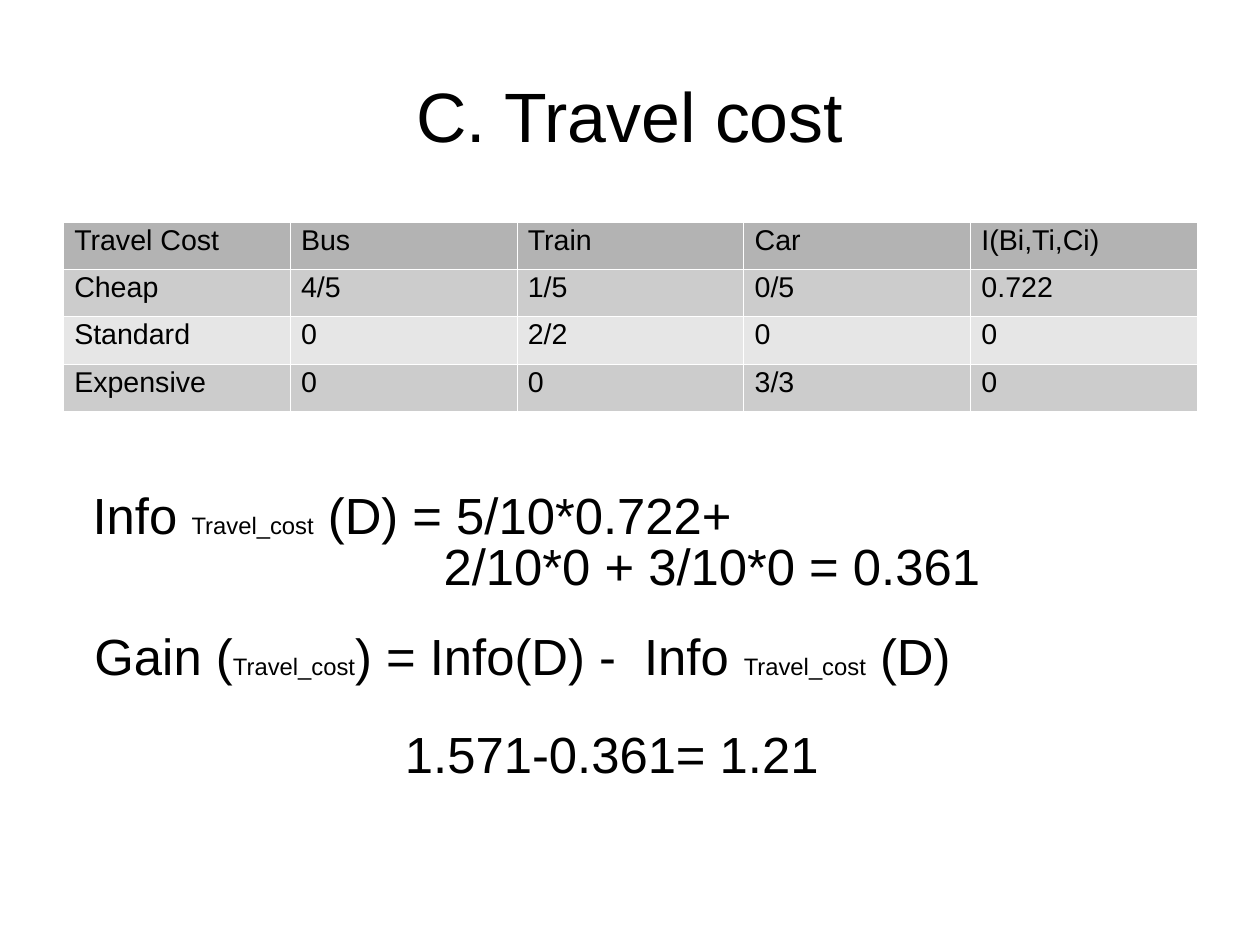
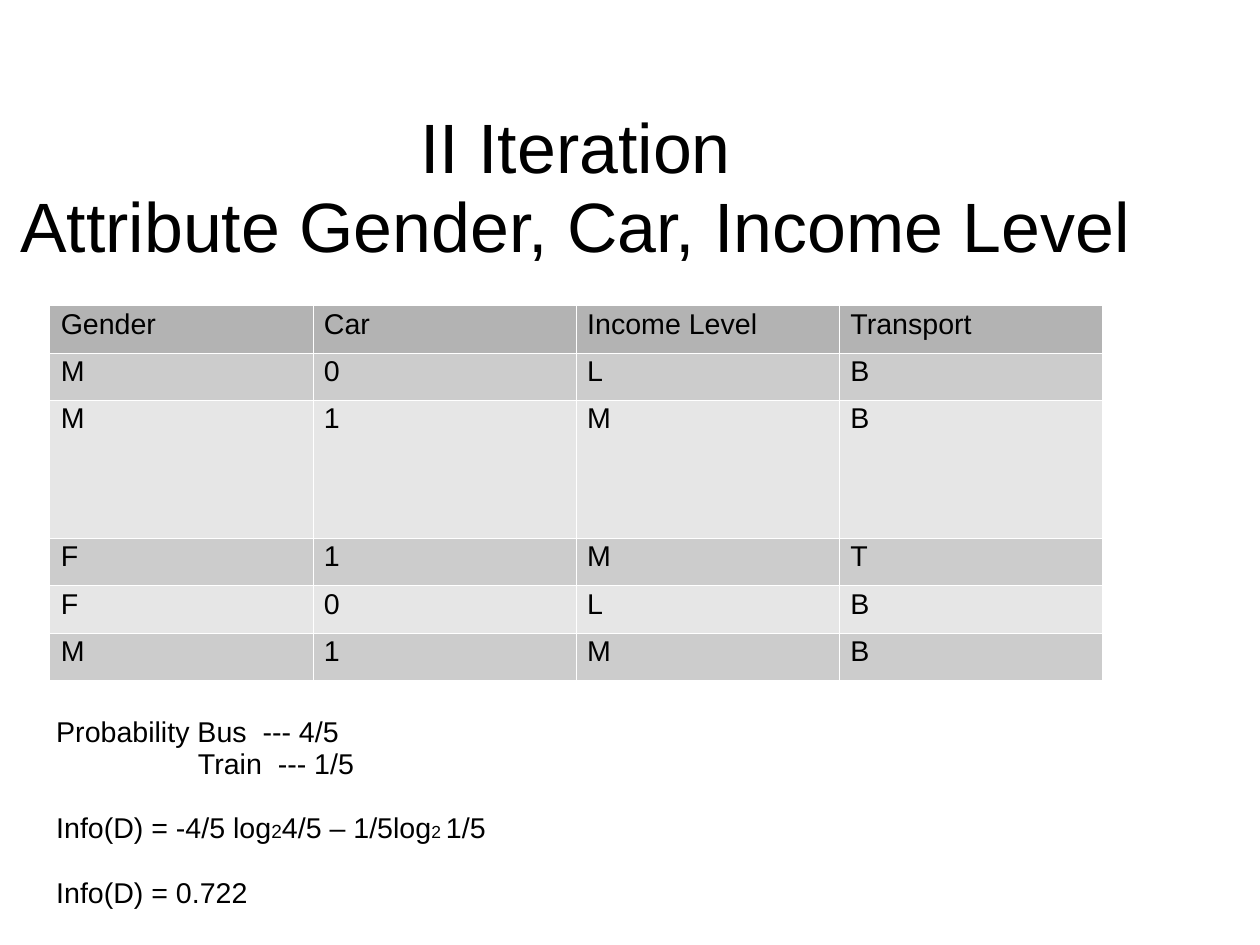
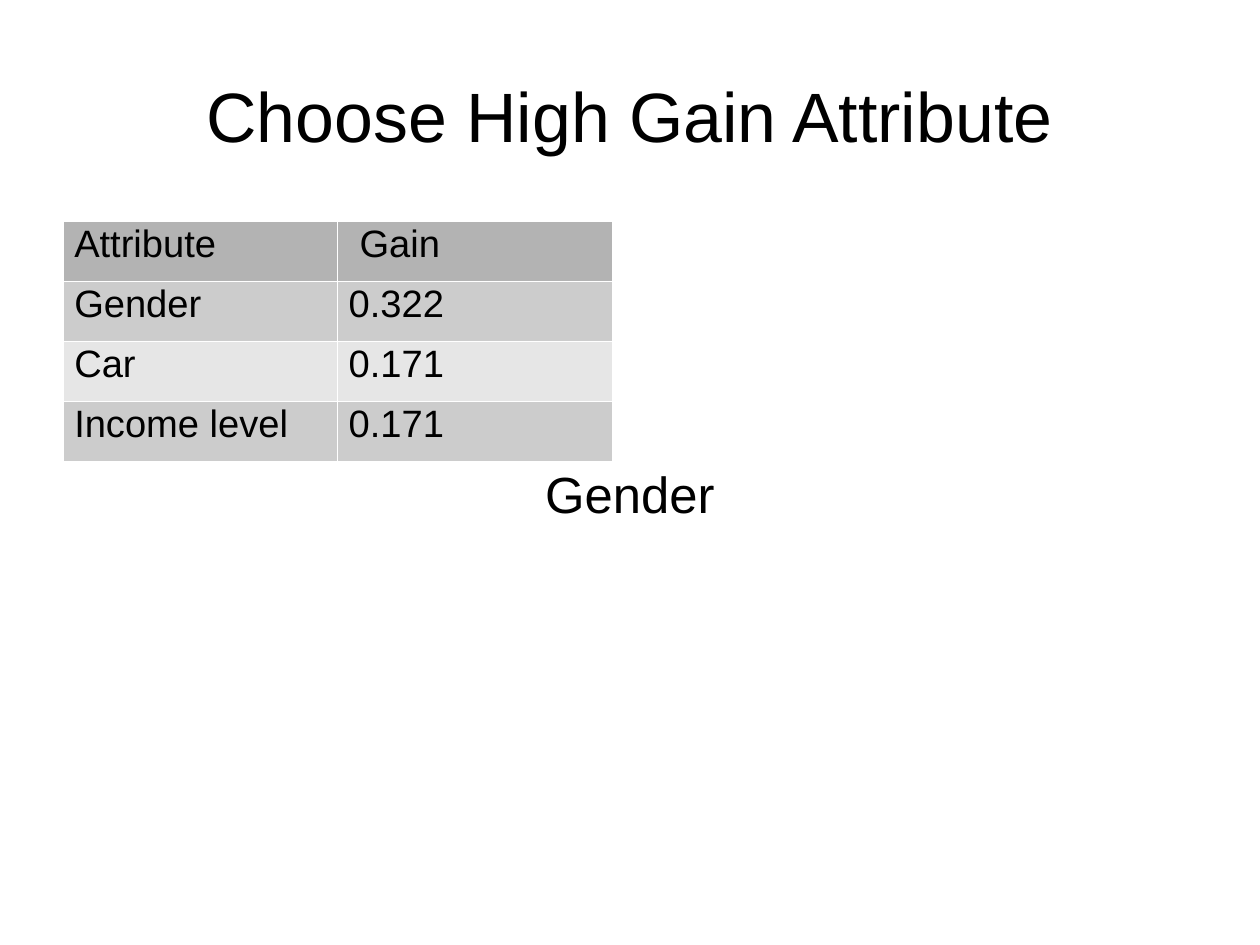
from lxml.etree import SubElement
from pptx import Presentation
from pptx.dml.color import RGBColor
from pptx.enum.text import MSO_ANCHOR, PP_ALIGN
from pptx.oxml.ns import qn
from pptx.util import Cm, Pt


def color(hex_string):
    return RGBColor.from_string(hex_string)


def write(p, text, size=18, font="Arial", ink="000000", align=PP_ALIGN.LEFT,
          spacing=0.94, indent=0, before=0):
    """Fill a paragraph; text is a string or a list of strings and (string, size)."""
    if indent:
        p._p.get_or_add_pPr().set("marL", str(Cm(indent)))
    p.alignment = align
    p.line_spacing = spacing
    p.space_before = Pt(before)
    for part in [text] if isinstance(text, str) else text:
        content, run_size = (part, size) if isinstance(part, str) else part
        for i, line in enumerate(content.split("\n")):
            if i:
                p.add_line_break()
            r = p.add_run()
            r.text = line
            r.font.size = Pt(run_size)
            r.font.name = font
            r.font.color.rgb = color(ink)


def set_margins(box, left, top, right, bottom):
    box.margin_left, box.margin_top = Cm(left), Cm(top)
    box.margin_right, box.margin_bottom = Cm(right), Cm(bottom)


def set_borders(cell, hex_string, width):
    tc_pr = cell._tc.get_or_add_tcPr()
    for i, side in enumerate(("lnL", "lnR", "lnT", "lnB")):
        ln = tc_pr.makeelement(qn("a:" + side), {"w": str(Pt(width))})
        fill = SubElement(ln, qn("a:solidFill"))
        SubElement(fill, qn("a:srgbClr"), val=hex_string)
        tc_pr.insert(i, ln)


class Deck:
    HEADER = "B3B3B3"
    BANDS = ("CCCCCC", "E6E6E6")
    BORDER = "FFFFFF"

    def __init__(self):
        self.prs = Presentation()
        self.prs.slide_width, self.prs.slide_height = Cm(28), Cm(21)

    def slide(self):
        self.s = self.prs.slides.add_slide(self.prs.slide_layouts[6])

    def text(self, paragraphs, x, y, w, h, anchor=MSO_ANCHOR.MIDDLE,
             margins=(0, 0.08, 0, 0), **style):
        """Add a text box; a dict paragraph carries its own format."""
        tf = self.s.shapes.add_textbox(Cm(x), Cm(y), Cm(w), Cm(h)).text_frame
        tf.word_wrap = True
        tf.vertical_anchor = anchor
        set_margins(tf, *margins)
        for i, item in enumerate(paragraphs):
            p = tf.add_paragraph() if i else tf.paragraphs[0]
            own = item if isinstance(item, dict) else {"text": item}
            write(p, **{**style, **own})

    def title(self, text, x=1.4, y=0.84, w=25.2, h=3.5):
        self.text([text], x, y, w, h, margins=(0, 0.1, 0, 0), size=44,
                  align=PP_ALIGN.CENTER)

    def formula(self, paragraphs, x, y, w, h=1.27):
        self.text(paragraphs, x, y, w, h, size=32, spacing=0.84)

    def table(self, rows, x, y, col_w, row_h, size=18, tall_rows=None, indents=None):
        """tall_rows maps a row to its height, indents a (row, column) to its indent."""
        heights = [(tall_rows or {}).get(i, row_h) for i in range(len(rows))]
        n_cols = len(rows[0])
        table = self.s.shapes.add_table(len(rows), n_cols, Cm(x), Cm(y),
                                        Cm(col_w * n_cols), Cm(sum(heights))).table
        table.first_row = table.horz_banding = False
        for column in table.columns:
            column.width = Cm(col_w)
        for i, values in enumerate(rows):
            table.rows[i].height = Cm(heights[i])
            for j, value in enumerate(values):
                cell = table.cell(i, j)
                set_margins(cell, 0.25, 0.13, 0.25, 0.13)
                cell.fill.solid()
                cell.fill.fore_color.rgb = color(self.BANDS[(i - 1) % 2] if i else self.HEADER)
                set_borders(cell, self.BORDER, 0.06)
                write(cell.text_frame.paragraphs[0], value, size=size, spacing=0.89,
                      indent=(indents or {}).get((i, j), 0))


def travel_cost(deck):
    cost = ("Travel_cost", 15)
    deck.slide()
    deck.title("C. Travel cost")
    deck.table([
        ["Travel Cost", "Bus", "Train", "Car", "I(Bi,Ti,Ci)"],
        ["Cheap", "4/5", "1/5", "0/5", "0.722"],
        ["Standard", "0", "2/2", "0", "0"],
        ["Expensive", "0", "0", "3/3", "0"],
    ], 1.4, 4.93, col_w=5.04, row_h=1.05)
    deck.formula([["Info ", cost, " (D) = 5/10*0.722+"],
                  {"text": "2/10*0 + 3/10*0 = 0.361", "indent": 7.8}],
                 2.06, 10.8, 23.9, 2.54)
    deck.formula([["Gain (", cost, ") = Info(D) -  Info ", cost, " (D)"]], 2.1, 14, 19.3)
    deck.formula(["1.571-0.361= 1.21"], 9, 16.18, 10.03)


def second_iteration(deck):
    deck.slide()
    deck.title("II Iteration\nAttribute Gender, Car, Income Level", 0.2, 1.55, h=5.23)
    deck.table([
        ["Gender", "Car", "Income Level", "Transport"],
        ["M", "0", "L", "B"],
        ["M", "1", "M", "B"],
        ["F", "1", "M", "T"],
        ["F", "0", "L", "B"],
        ["M", "1", "M", "B"],
    ], 1.1, 6.79, col_w=5.85, row_h=1.05, tall_rows={2: 3.07})
    entropy = ["Info(D) = -4/5 log", ("2", 12), "4/5 – 1/5log", ("2 ", 11), "1/5"]
    deck.text(["Probability Bus  --- 4/5",
               {"text": "Train  --- 1/5", "indent": 3.15},
               {"text": entropy, "before": 20.3},
               {"text": "Info(D) = 0.722", "before": 20.3}],
              1, 15.77, 13.8, 5.23, anchor=MSO_ANCHOR.TOP,
              margins=(0.25, 0.15, 0.25, 0.13))


def highest_gain(deck):
    deck.slide()
    deck.title("Choose High Gain Attribute")
    deck.table([
        ["Attribute", "Gain"],
        ["Gender", "0.322"],
        ["Car", "0.171"],
        ["Income level", "0.171"],
    ], 1.4, 4.92, col_w=6.1, row_h=1.33, size=24, indents={(0, 1): 0.24})
    deck.text(["Gender"], 1.4, 4.91, 25.2, 12.18, size=32, align=PP_ALIGN.CENTER)


def main():
    deck = Deck()
    travel_cost(deck)
    second_iteration(deck)
    highest_gain(deck)
    deck.prs.save("out.pptx")


if __name__ == "__main__":
    main()
